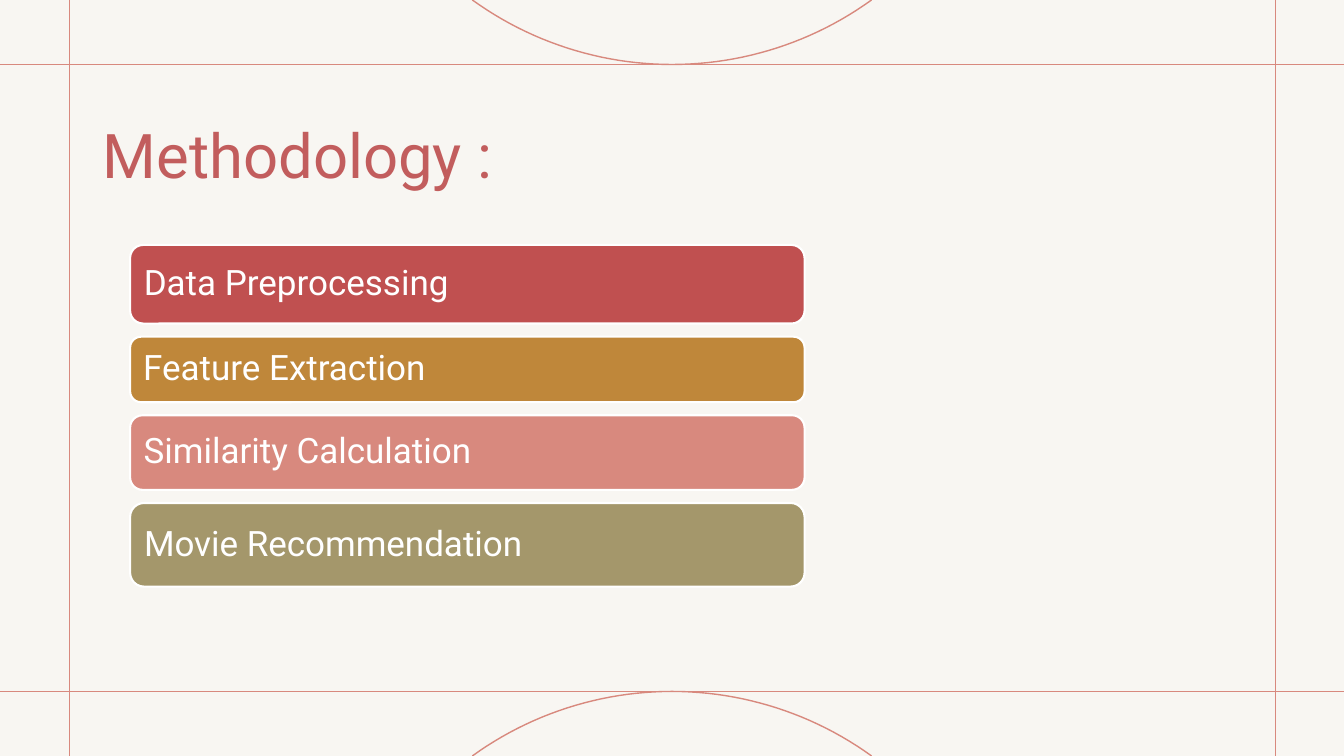
import math

from lxml import etree
from pptx import Presentation
from pptx.dml.color import RGBColor
from pptx.enum import shapes, text
from pptx.oxml import ns
from pptx.util import Inches, Pt

WIDE, HIGH = 13.33, 7.5
FONT = "Roboto"
HUES = {"paper": "F8F6F2", "rule": "D8897E", "title": "C25D5D", "white": "FFFFFF",
        "red": "C05050", "gold": "BF873A", "pink": "D8897E", "olive": "A4976B"}


def hue(name):
    return RGBColor.from_string(HUES[name])


def ink(line, name, width):
    """Colour a line and set its width in points."""
    line.color.rgb = hue(name)
    line.width = Pt(width)


deck = Presentation()
deck.slide_width, deck.slide_height = Inches(WIDE), Inches(HIGH)
slide = deck.slides.add_slide(deck.slide_layouts[5])
slide.background.fill.solid()
slide.background.fill.fore_color.rgb = hue("paper")

# Frame: two rules across and two down
left, right, top, base = 0.69, 12.65, 0.64, 6.86
rules = [(0, y, WIDE, y) for y in (base, top)]
rules += [(x, HIGH, x, 0) for x in (right, left)]
for ends in rules:
    rule = slide.shapes.add_connector(
        shapes.MSO_CONNECTOR.STRAIGHT, *[Inches(end) for end in ends])
    ink(rule.line, "rule", 1)
    etree.SubElement(rule._element.spPr, ns.qn("a:effectLst"))

# Circle arcs that touch the frame and run off the top and bottom edges
half, steps = 1.98, 48
radius = (half ** 2 + top ** 2) / (2 * top)
sweep = math.asin(half / radius)
for touch, way in ((top, -1), (base, 1)):
    dots = []
    for step in range(steps + 1):
        turn = sweep * (2 * step / steps - 1)
        dots.append((Inches(WIDE / 2 + radius * math.sin(turn)),
                     Inches(touch + way * radius * (1 - math.cos(turn)))))
    pen = slide.shapes.build_freeform(*dots[0])
    pen.add_line_segments(dots[1:], close=False)
    arc = pen.convert_to_shape()
    arc.fill.background()
    arc.shadow.inherit = False
    ink(arc.line, "rule", 1)

title = slide.shapes.title
title.left, title.top = Inches(0.92), Inches(0.8)
title.width, title.height = Inches(11.5), Inches(1.45)
title.text_frame.text = "Methodology :"
title.text_frame.vertical_anchor = text.MSO_ANCHOR.MIDDLE
head = title.text_frame.paragraphs[0]
head.alignment = text.PP_ALIGN.LEFT
head.font.name, head.font.size = FONT, Pt(44)
head.font.color.rgb = hue("title")

# Stack of method steps, with an equal gap between bars
stages = [("Data Preprocessing", "red", 0.78),
          ("Feature Extraction", "gold", 0.65),
          ("Similarity Calculation", "pink", 0.74),
          ("Movie Recommendation", "olive", 0.83)]
y, gap = 2.43, 0.13
for label, name, tall in stages:
    bar = slide.shapes.add_shape(
        shapes.MSO_SHAPE.ROUNDED_RECTANGLE,
        Inches(1.29), Inches(y), Inches(6.69), Inches(tall))
    bar.shadow.inherit = False
    bar.fill.solid()
    bar.fill.fore_color.rgb = hue(name)
    ink(bar.line, "white", 1.5)
    frame = bar.text_frame
    frame.text = label
    frame.vertical_anchor = text.MSO_ANCHOR.MIDDLE
    frame.margin_left = frame.margin_right = Inches(0.1)
    frame.margin_top = frame.margin_bottom = Inches(0.1)
    para = frame.paragraphs[0]
    para.alignment = text.PP_ALIGN.LEFT
    para.line_spacing = 0.9
    para.font.name, para.font.size = FONT, Pt(25)
    para.font.color.rgb = hue("white")
    y += tall + gap

deck.save("out.pptx")
